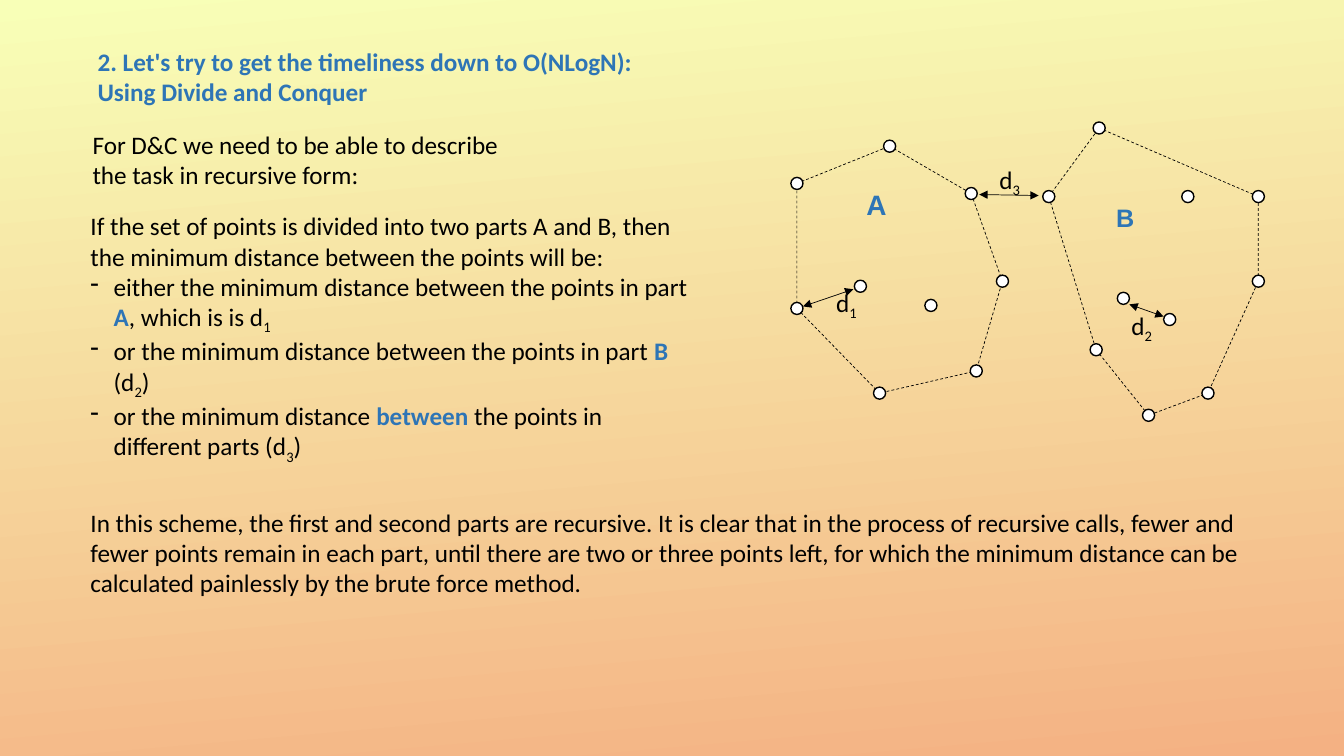
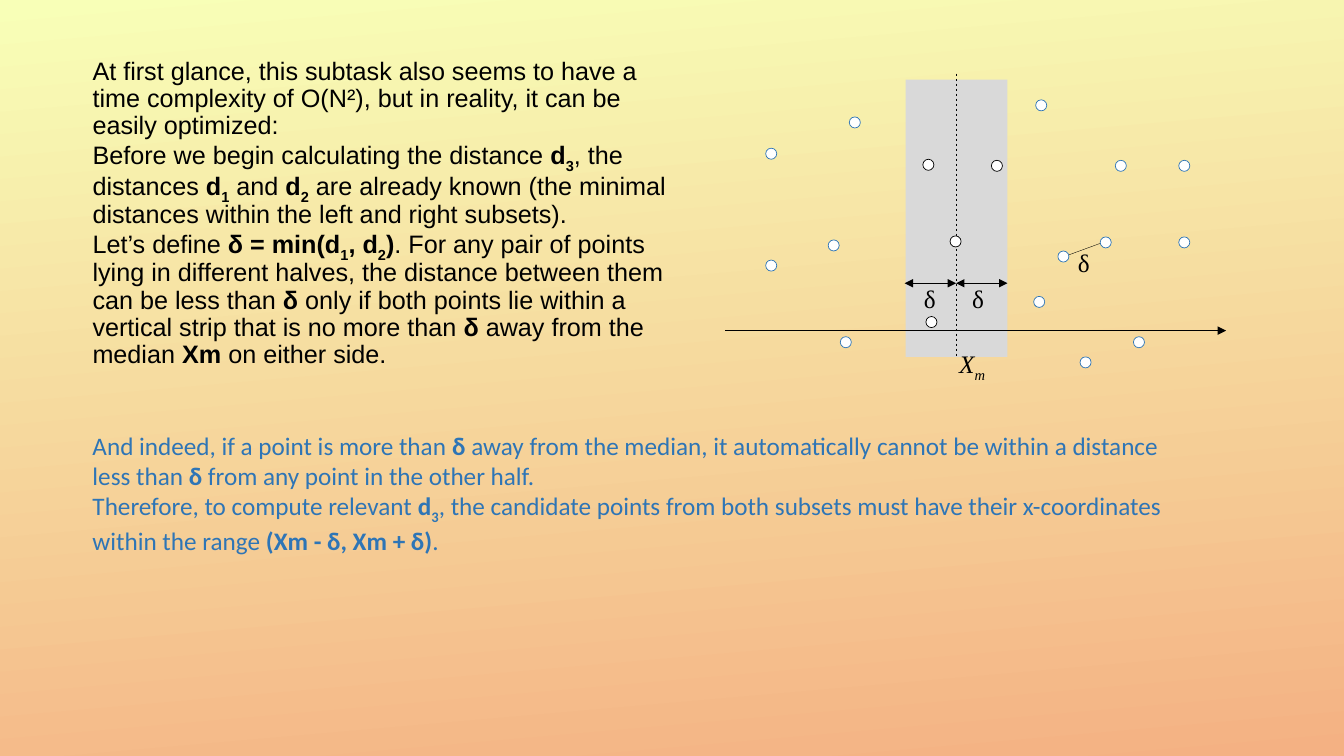
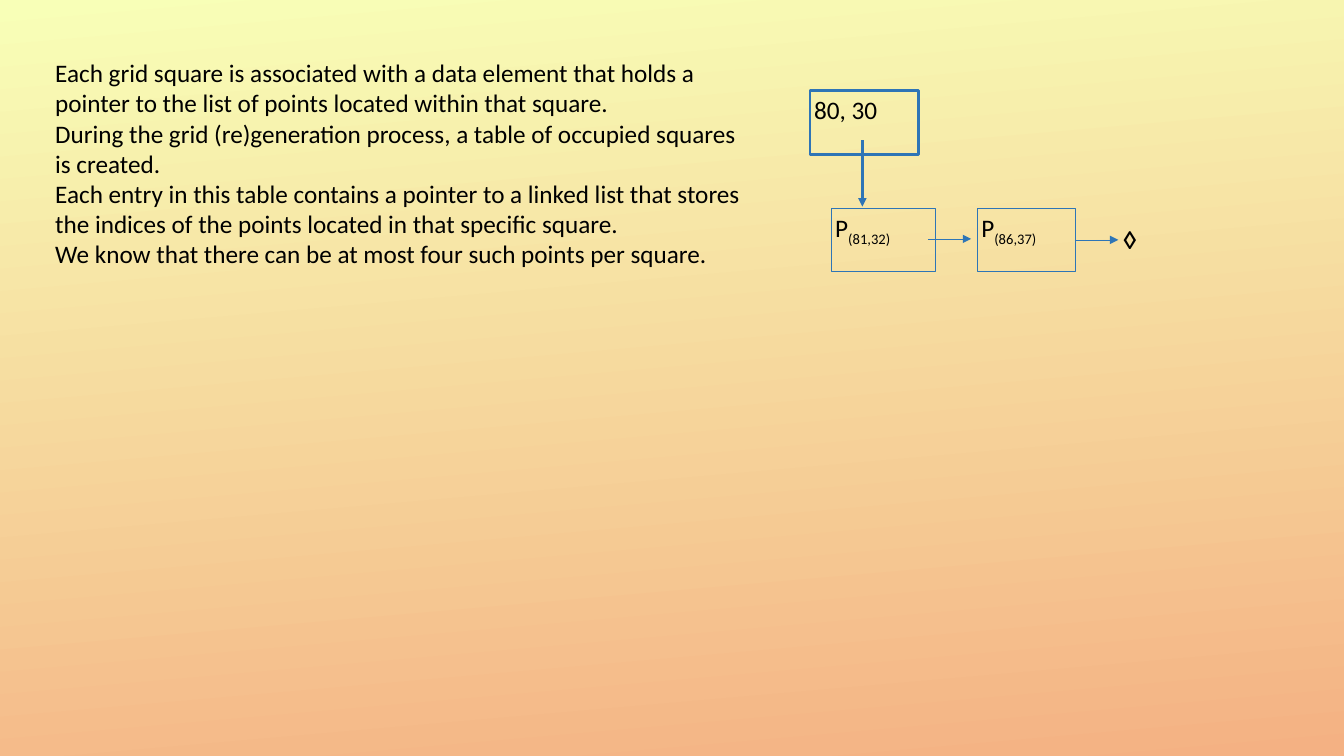
from lxml import etree
from pptx import Presentation
from pptx.dml.color import RGBColor
from pptx.enum.dml import MSO_LINE
from pptx.enum.shapes import MSO_CONNECTOR, MSO_SHAPE
from pptx.enum.text import MSO_ANCHOR, PP_ALIGN
from pptx.oxml.ns import qn
from pptx.util import Pt

PX = 9144
WIDTH, HEIGHT = 1334, 750
BLACK, WHITE, BLUE, GREY = "000000", "FFFFFF", "2E75B6", "D9D9D9"
GLOW = ("F8FFB7", "F4B183")
BODY, SANS, SERIF, MONO = "Calibri", "Arial", "Times New Roman", "Courier New"
OVAL, RECT = MSO_SHAPE.OVAL, MSO_SHAPE.RECTANGLE
STRAIGHT, DASH = MSO_CONNECTOR.STRAIGHT, MSO_LINE.DASH
TOP, MIDDLE, LEFT = MSO_ANCHOR.TOP, MSO_ANCHOR.MIDDLE, PP_ALIGN.LEFT
NONE, SMALL = (0, 0), (4, 4)


def px(*nums):
    """Turn px lengths into EMU."""
    return [round(num * PX) for num in nums]


def tint(code):
    """Turn a hex string into a colour."""
    return RGBColor.from_string(code)


def bullet(para):
    """Give a paragraph a hanging dash."""
    props = para._p.get_or_add_pPr()
    indent = px(23)[0]
    props.set("marL", str(indent))
    props.set("indent", str(-indent))
    etree.SubElement(props, qn("a:buChar")).set("char", "-")


def write(shape, text, font=BODY, size=18, color=BLACK, strong=None, bold=False,
          italic=False, inset=(10, 5), anchor=TOP, space=None):
    """Fill a shape with text, where *x* is bold and ~x~ is subscript."""
    frame = shape.text_frame
    frame.word_wrap = True
    frame.vertical_anchor = anchor
    side, edge = px(*inset)
    frame.margin_left = frame.margin_right = side
    frame.margin_top = frame.margin_bottom = edge
    for num, line in enumerate(text.split("\n")):
        para = frame.paragraphs[0] if num == 0 else frame.add_paragraph()
        para.alignment = LEFT
        if space:
            para.line_spacing = space
        if line.startswith("- "):
            bullet(para)
            line = line[2:]
        for heavy, part in enumerate(line.split("*")):
            for low, bit in enumerate(part.split("~")):
                if not bit:
                    continue
                run = para.add_run()
                run.text = bit
                run.font.name = font
                run.font.size = Pt(size)
                run.font.bold = bold or heavy % 2 == 1
                run.font.italic = italic
                run.font.color.rgb = tint(strong if strong and heavy % 2 else color)
                if low % 2:
                    run._r.get_or_add_rPr().set("baseline", "-25000")


def label(slide, at, text, **style):
    """Add a text box."""
    write(slide.shapes.add_textbox(*px(*at)), text, **style)


def paint(shape, fill=None, line=None, width=1, dash=None):
    """Set the fill and outline of a shape."""
    shape.shadow.inherit = False
    if fill:
        shape.fill.solid()
        shape.fill.fore_color.rgb = tint(fill)
    else:
        shape.fill.background()
    if line:
        shape.line.color.rgb = tint(line)
        shape.line.width = Pt(width)
        shape.line.dash_style = dash
    else:
        shape.line.fill.background()


def block(slide, at, **look):
    """Add a rectangle."""
    shape = slide.shapes.add_shape(RECT, *px(*at))
    paint(shape, **look)
    return shape


def dots(slide, spots, size, color, width):
    """Add white dots centred on the spots."""
    for x, y in spots:
        half = size // 2
        shape = slide.shapes.add_shape(OVAL, *px(x - half, y - half, size, size))
        paint(shape, WHITE, color, width)


def hull(slide, spots):
    """Add a dashed closed outline through the spots."""
    pen = slide.shapes.build_freeform(*spots[0], scale=PX)
    pen.add_line_segments(spots[1:], close=True)
    paint(pen.convert_to_shape(), line=BLACK, width=0.5, dash=DASH)


def link(slide, ends, color=BLACK, width=0.5, dash=None, heads=(), start=None):
    """Add a straight line with arrowheads, joined to the right of a start block."""
    line = slide.shapes.add_connector(STRAIGHT, *px(*ends))
    if start is not None:
        line.begin_connect(start, 3)
    line.line.color.rgb = tint(color)
    line.line.width = Pt(width)
    line.line.dash_style = dash
    props = line._element.spPr
    for head in heads:
        etree.SubElement(props.find(qn("a:ln")), qn("a:" + head)).set("type", "triangle")
    etree.SubElement(props, qn("a:effectLst"))


BOTH, LAST = ("headEnd", "tailEnd"), ("tailEnd",)


def divide(slide):
    """Build the divide and conquer slide."""
    label(slide, (87, 41, 593, 70),
          "2. Let's try to get the timeliness down to O(NLogN): Using Divide and Conquer",
          color=BLUE, bold=True)
    label(slide, (82, 123, 429, 70),
          "For D&C we need to be able to describe\nthe task in recursive form:")
    label(slide, (80, 204, 614, 263),
          "If the set of points is divided into two parts A and B, then the minimum "
          "distance between the points will be:\n"
          "- either the minimum distance between the points in part *A*, which is is d~1~\n"
          "- or the minimum distance between the points in part *B* (d~2~)\n"
          "- or the minimum distance *between* the points in different parts (d~3~)",
          strong=BLUE)
    label(slide, (80, 498, 1197, 100),
          "In this scheme, the first and second parts are recursive. It is clear that in "
          "the process of recursive calls, fewer and fewer points remain in each part, "
          "until there are two or three points left, for which the minimum distance can "
          "be calculated painlessly by the brute force method.")
    left = [(791, 306), (791, 182), (883, 145), (964, 192), (995, 279), (969, 368),
            (873, 390)]
    right = [(1041, 195), (1091, 127), (1249, 195), (1249, 279), (1199, 390),
             (1140, 412), (1088, 347)]
    inner = [(854, 284), (924, 303), (1179, 195), (1115, 296), (1161, 317)]
    hull(slide, left)
    hull(slide, right)
    for ends in ((1155, 314, 1121, 302), (847, 287, 797, 304), (972, 193, 1031, 194)):
        link(slide, ends, heads=BOTH)
    for x, y, text in ((830, 285, "d~1~"), (1123, 308, "d~2~"), (992, 163, "d~3~")):
        label(slide, (x, y, 46, 50), text, inset=NONE)
    for x, y, text, size in ((860, 186, "A", 20), (1108, 201, "B", 18)):
        label(slide, (x, y, 46, 50), text, font=SANS, size=size, color=BLUE,
              bold=True, inset=NONE)
    dots(slide, left + right + inner, 12, BLACK, 1)


def strip(slide):
    """Build the median strip slide."""
    label(slide, (82, 37, 599, 350),
          "At first glance, this subtask also seems to have a time complexity of O(N²), "
          "but in reality, it can be easily optimized:\n"
          "Before we begin calculating the distance *d~3~*, the distances *d~1~* and "
          "*d~2~* are already known (the minimal distances within the left and right "
          "subsets).\n"
          "Let’s define *δ = min(d~1~, d~2~)*. For any pair of points lying in different "
          "halves, the distance between them can be less than *δ* only if both points "
          "lie within a vertical strip that is no more than *δ* away from the median "
          "*Xm* on either side.",
          font=SANS, anchor=MIDDLE, space=0.9)
    label(slide, (82, 422, 1117, 134),
          "And indeed, if a point is more than *δ* away from the median, it automatically "
          "cannot be within a distance less than *δ* from any point in the other half.\n"
          "Therefore, to compute relevant *d~3~*, the candidate points from both subsets "
          "must have their x-coordinates within the range *(Xm - δ, Xm + δ)*.",
          color=BLUE)
    mid, delta = 949, 51
    block(slide, (899, 79, 101, 275), fill=GREY)
    link(slide, (720, 328, 1217, 328), heads=LAST)
    link(slide, (mid, 73, mid, 355), dash=DASH)
    link(slide, (1096, 240, 1055, 255), width=0.25)
    for x in (mid - delta, mid):
        link(slide, (x, 281, x + delta, 281), width=0.25, heads=BOTH)
    label(slide, (952, 346, 48, 40), "X~m~", font=SERIF, italic=True, inset=NONE)
    for x, y in ((965, 281), (917, 281), (1070, 245)):
        label(slide, (x, y, 24, 38), "δ", font=SERIF, inset=NONE)
    near = [(924, 319), (948, 239), (921, 163), (989, 164)]
    far = [(765, 263), (765, 152), (848, 121), (827, 243), (839, 339), (1033, 104),
           (1112, 164), (1175, 164), (1175, 240), (1055, 254), (1031, 299),
           (1077, 359), (1130, 339), (1097, 240)]
    dots(slide, near, 11, BLACK, 0.5)
    dots(slide, far, 11, BLUE, 0.5)


def grid(slide):
    """Build the grid list slide."""
    label(slide, (45, 52, 703, 220),
          "Each grid square is associated with a data element that holds a pointer to the "
          "list of points located within that square.\n"
          "During the grid (re)generation process, a table of occupied squares is created.\n"
          "Each entry in this table contains a pointer to a linked list that stores the "
          "indices of the points located in that specific square.\n"
          "We know that there can be at most four such points per square.")
    for at, text, width in (((804, 90, 108, 63), "80, 30", 2),
                            ((825, 207, 103, 62), "P~(81,32)~", 0.25),
                            ((970, 207, 97, 62), "P~(86,37)~", 0.25)):
        node = block(slide, at, line=BLUE, width=width)
        write(node, text, inset=SMALL)
    link(slide, (856, 139, 856, 205), BLUE, 2, heads=LAST)
    link(slide, (921, 237, 964, 237), BLUE, heads=LAST)
    link(slide, (1067, 238, 1110, 238), BLUE, heads=LAST, start=node)
    label(slide, (1110, 219, 33, 47), "◊", font=MONO, bold=True, inset=SMALL)


def main():
    """Build and save the slides."""
    deck = Presentation()
    deck.slide_width, deck.slide_height = px(WIDTH, HEIGHT)
    fill = deck.slide_master.background.fill
    fill.gradient()
    fill.gradient_angle = 275
    for stop, code in zip(fill.gradient_stops, GLOW):
        stop.color.rgb = tint(code)
    for build in (divide, strip, grid):
        build(deck.slides.add_slide(deck.slide_layouts[6]))
    deck.save("out.pptx")


if __name__ == "__main__":
    main()
